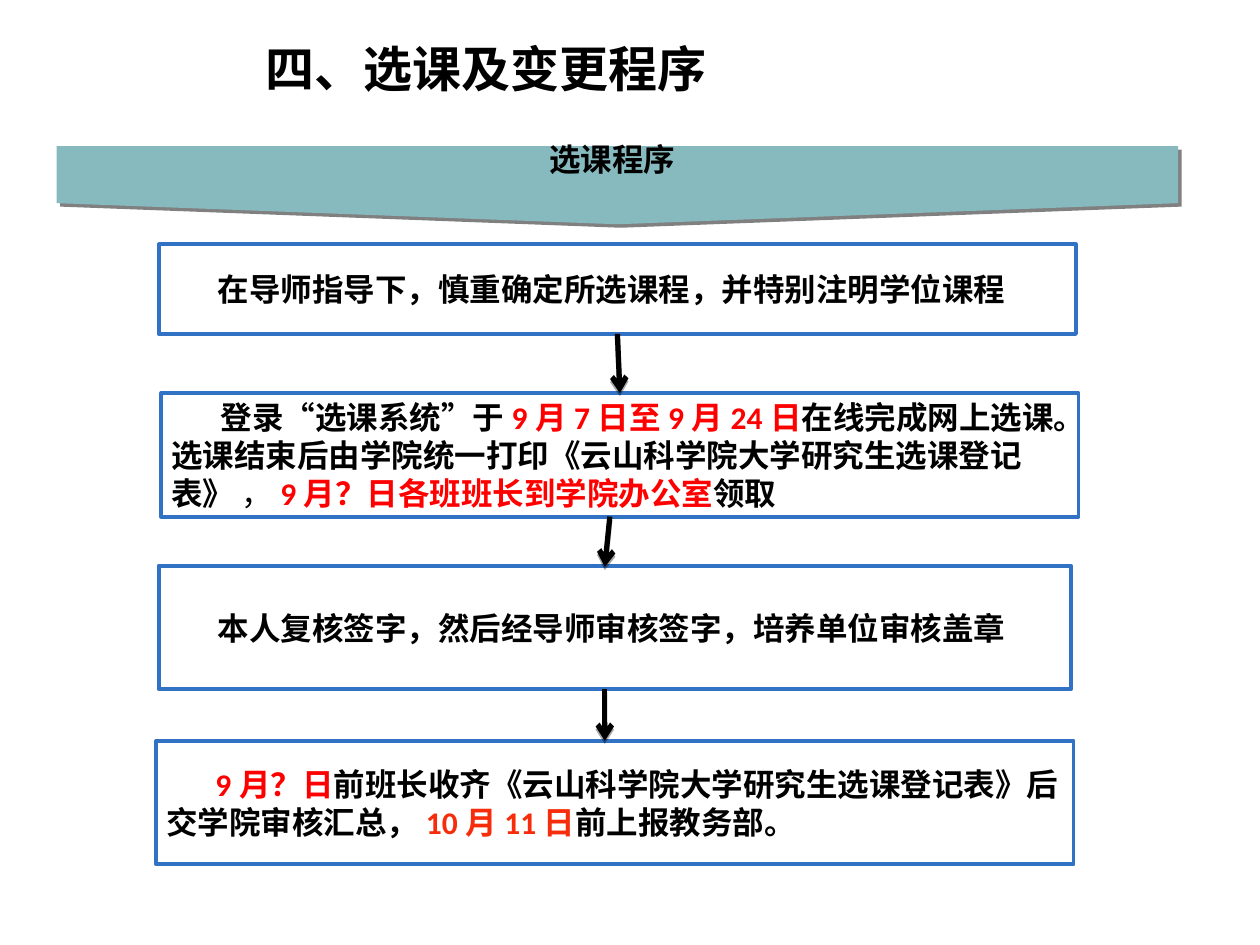
from lxml import etree
from pptx import Presentation, util as u
from pptx.dml.color import RGBColor
from pptx.enum import shapes as sh, text as tx
from pptx.oxml.ns import qn

COLS, ROWS = 100, 75
WIDE, HIGH = u.Inches(10), u.Inches(7.5)
HUES = {"ink": "000000", "red": "FF0000", "flame": "F62C0A", "edge": "3172C4",
        "band": "87BABF", "shade": "808080"}
FORM = "《云山科学院大学研究生选课登记表》"
STEPS = [
    ((12.6, 19.4, 72.8, 7.1), [("在导师指导下，慎重确定所选课程，并特别注明学位课程", "ink", True)]),
    ((12.8, 31.2, 72.8, 9.8), [
        ("登录“选课系统”于", "ink", True), ("9月7日至9月24日", "red", True),
        ("在线完成网上选课。选课结束后由学院统一打印" + FORM, "ink", True),
        (" ，", "ink", False), ("9月？日各班班长到学院办公室", "red", True), ("领取", "ink", True)]),
    ((12.6, 44.9, 72.4, 9.8), [("本人复核签字，然后经导师审核签字，培养单位审核盖章", "ink", True)]),
    ((12.4, 58.8, 72.8, 9.8), [
        ("9月？日", "red", True), ("前班长收齐" + FORM + "后交学院审核汇总，", "ink", True),
        ("10月11日", "flame", True), ("前上报教务部。", "ink", True)]),
]
LINKS = [(49, 26.5, 49.2, 31.2), (48.4, 41, 48, 45), (48, 54.7, 48, 58.8)]


def grid(*cells):
    """Turn alternating columns and rows into lengths."""
    return [int(c * (HIGH / ROWS if i % 2 else WIDE / COLS)) for i, c in enumerate(cells)]


def hue(name):
    """Look up a colour by name."""
    return RGBColor.from_string(HUES[name])


def assign(obj, vals):
    """Set every attribute in a dict of format values."""
    for key, val in vals.items():
        setattr(obj, key, val)


def shade(part, name, alpha, dist, angle):
    """Give a shape or connector an outer shadow."""
    fx = part._element.spPr.find(qn("a:effectLst"))
    if fx is None:
        fx = etree.SubElement(part._element.spPr, qn("a:effectLst"))
    drop = etree.SubElement(fx, qn("a:outerShdw"), blurRad="0", dist=str(u.Pt(dist)),
                            dir=str(angle * 60000), algn="ctr", rotWithShape="0")
    tone = etree.SubElement(drop, qn("a:srgbClr"), val=HUES[name])
    etree.SubElement(tone, qn("a:alpha"), val=str(alpha * 1000))


def write(part, runs, size, frame):
    """Write one left-aligned paragraph of coloured runs."""
    assign(part.text_frame, frame)
    para = part.text_frame.paragraphs[0]
    para.alignment = tx.PP_ALIGN.LEFT
    for words, name, bold in runs:
        run = para.add_run()
        run.text = words
        assign(run.font, {"size": u.Pt(size), "name": "Calibri", "bold": bold})
        run.font.color.rgb = hue(name)
    return para


def label(slide, cells, words, size, frame):
    """Add a bold text box."""
    write(slide.shapes.add_textbox(*grid(*cells)), [(words, "ink", True)], size, frame)


def banner(slide):
    """Add the wide band that points down."""
    band = slide.shapes.add_shape(sh.MSO_SHAPE.PENTAGON, *grid(45.9, -29.8, 6.2, 89))
    band.rotation = 90
    band.adjustments[0] = 0.27
    band.fill.solid()
    band.fill.fore_color.rgb = hue("band")
    band.line.fill.background()
    band.shadow.inherit = False
    shade(band, "shade", 100, 2.8, 45)


def step(slide, cells, runs):
    """Add one outlined step of the process."""
    box = slide.shapes.add_shape(sh.MSO_SHAPE.RECTANGLE, *grid(*cells))
    box.fill.background()
    box.line.color.rgb = hue("edge")
    box.line.width = u.Pt(2.25)
    box.shadow.inherit = False
    side, edge = grid(0.8, 0.4)
    para = write(box, runs, 18, {
        "word_wrap": True, "vertical_anchor": tx.MSO_ANCHOR.MIDDLE, "margin_left": side,
        "margin_right": side, "margin_top": edge, "margin_bottom": edge})
    para._p.get_or_add_pPr().set("indent", str(grid(3.9)[0]))


def arrow(slide, cells):
    """Join two steps with an arrow."""
    link = slide.shapes.add_connector(sh.MSO_CONNECTOR.STRAIGHT, *grid(*cells))
    link.line.color.rgb = hue("ink")
    link.line.width = u.Pt(3)
    etree.SubElement(link.line._get_or_add_ln(), qn("a:tailEnd"), type="arrow")
    shade(link, "ink", 35, 1.8, 90)


def main():
    """Build the course selection slide."""
    deck = Presentation()
    assign(deck, {"slide_width": WIDE, "slide_height": HIGH})
    slide = deck.slides.add_slide(deck.slide_layouts[6])
    label(slide, (20.1, 2.4, 74.9, 6), "四、选课及变更程序", 28,
          {"word_wrap": True, "vertical_anchor": tx.MSO_ANCHOR.MIDDLE})
    banner(slide)
    for cells, runs in STEPS:
        step(slide, cells, runs)
    label(slide, (42.6, 10.6, 16.8, 4), "选课程序", 18,
          {"word_wrap": True, "auto_size": tx.MSO_AUTO_SIZE.SHAPE_TO_FIT_TEXT})
    for cells in LINKS:
        arrow(slide, cells)
    deck.save("out.pptx")


if __name__ == "__main__":
    main()
